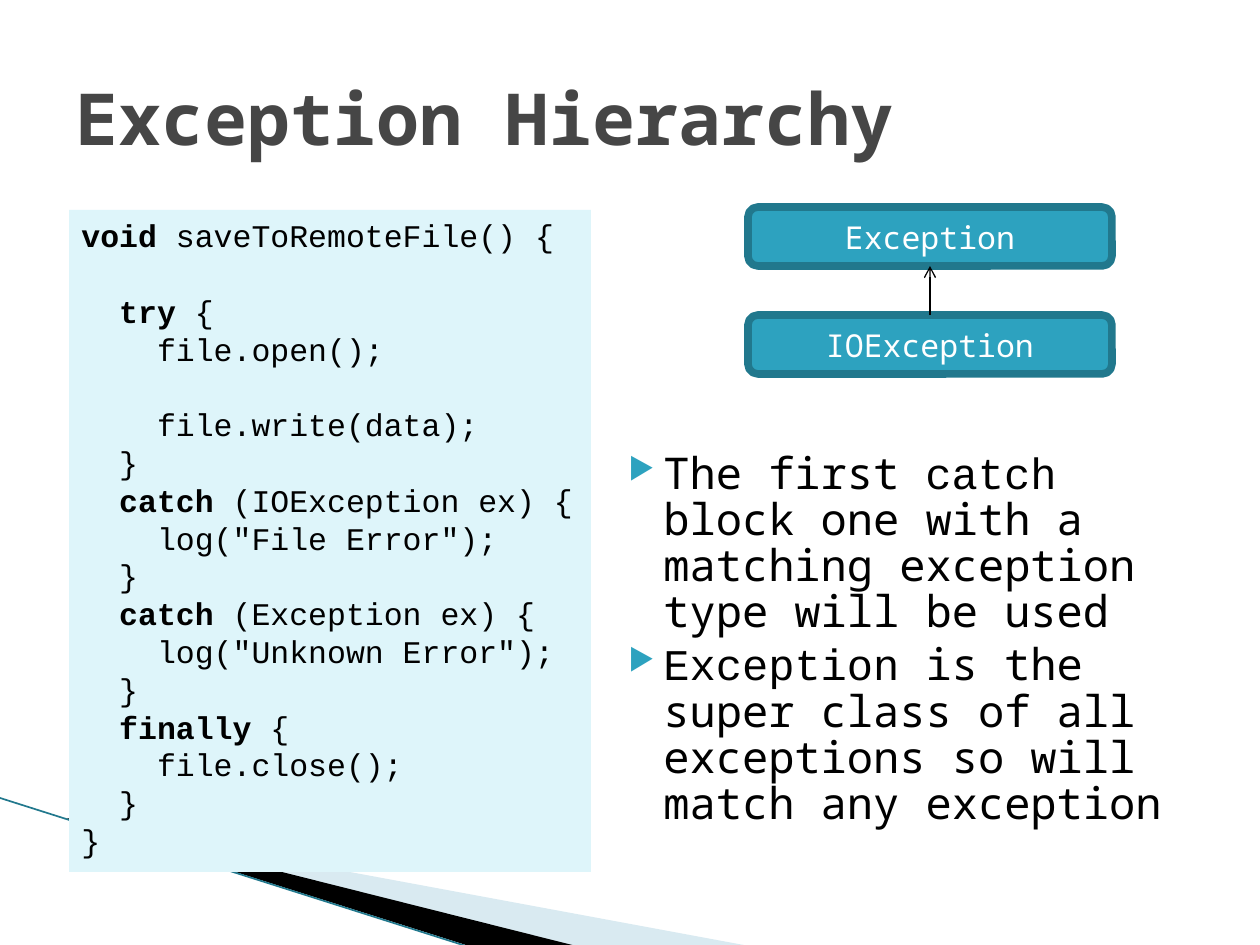
import pptx
import pptx.dml.color
import pptx.enum.shapes
import pptx.enum.text
import pptx.oxml.ns
import pptx.util
from lxml import etree

RGBColor = pptx.dml.color.RGBColor
SHAPE = pptx.enum.shapes.MSO_SHAPE
STRAIGHT = pptx.enum.shapes.MSO_CONNECTOR.STRAIGHT
ANCHOR = pptx.enum.text.MSO_ANCHOR
ALIGN = pptx.enum.text.PP_ALIGN
qn = pptx.oxml.ns.qn

BLACK = RGBColor(0x00, 0x00, 0x00)
WHITE = RGBColor(0xFF, 0xFF, 0xFF)
GREY = RGBColor(0x46, 0x46, 0x46)
TEAL = RGBColor(0x2D, 0xA2, 0xBF)
DARK_TEAL = RGBColor(0x21, 0x78, 0x8D)
PALE_BLUE = RGBColor(0xD9, 0xEA, 0xF1)
CODE_FILL = RGBColor(0xDE, 0xF5, 0xFA)

EMU_PER_INCH = 914400
PX_PER_INCH = 126
SANS = "Noto Sans Mono"
MONO = "Courier New"
KEYWORDS = ("void", "try", "catch", "finally")

CODE = """void saveToRemoteFile() {

  try {
    file.open();
    
    file.write(data);
  }
  catch (IOException ex) {
    log("File Error");
  }
  catch (Exception ex) {
    log("Unknown Error");
  }
  finally {
    file.close();
  }
}"""

BULLETS = (
    (("The first ", SANS), ("catch", MONO),
     (" block one with a matching exception type will be used", SANS)),
    (("Exception", MONO),
     (" is the super class of all exceptions so will match any exception", SANS)),
)


def px(length):
    """Turn pixels into EMU."""
    return pptx.util.Emu(round(length * EMU_PER_INCH / PX_PER_INCH))


def set_font(font, name, size, color, bold=False):
    """Set the main properties of a font."""
    font.name = name
    font.size = pptx.util.Pt(size)
    font.color.rgb = color
    font.bold = bold


def add_box(page, kind, left, top, width, height, fill):
    """Add a plain filled shape without line or shadow."""
    box = page.shapes.add_shape(kind, px(left), px(top), px(width), px(height))
    box.shadow.inherit = False
    box.fill.solid()
    box.fill.fore_color.rgb = fill
    box.line.fill.background()
    return box


def add_line(page, start, end, color, width):
    """Add a straight connector without shadow."""
    line = page.shapes.add_connector(STRAIGHT, *map(px, start + end))
    line.line.color.rgb = color
    line.line.width = pptx.util.Pt(width)
    etree.SubElement(line._element.spPr, qn("a:effectLst"))
    return line


def add_corner(page, left, top):
    """Draw the sweeping wedges of the lower left corner."""
    wedges = (
        (PALE_BLUE, ((0, 1), (680, 127), (505, 127), (0, 0))),
        (BLACK, ((-2, -1), (507, 127), (400, 127), (-1, 0))),
    )
    for color, points in wedges:
        corners = [(px(left + x), px(top + y)) for x, y in points]
        builder = page.shapes.build_freeform(*corners[0], scale=1.0)
        builder.add_line_segments(corners[1:], close=True)
        wedge = builder.convert_to_shape()
        wedge.shadow.inherit = False
        wedge.fill.solid()
        wedge.fill.fore_color.rgb = color
        wedge.line.fill.background()
    add_line(page, (left - 69, top - 21), (left + 397, top + 127), DARK_TEAL, 0.95)


def add_title(page, left, top, width, height):
    """Place and format the title placeholder."""
    title = page.shapes.title
    title.left, title.top, title.width, title.height = map(px, (left, top, width, height))
    title.text_frame.text = "Exception Hierarchy"
    title.text_frame.vertical_anchor = ANCHOR.MIDDLE
    para = title.text_frame.paragraphs[0]
    para.alignment = ALIGN.LEFT
    set_font(para.font, SANS, 41, GREY, True)


def add_code(page, left, top, width, height):
    """Show the code listing with its keywords in bold."""
    box = add_box(page, SHAPE.RECTANGLE, left, top, width, height, CODE_FILL)
    frame = box.text_frame
    frame.word_wrap = True
    frame.vertical_anchor = ANCHOR.TOP
    for number, line in enumerate(CODE.split("\n")):
        para = frame.add_paragraph() if number else frame.paragraphs[0]
        para.alignment = ALIGN.LEFT
        set_font(para.font, MONO, 18, BLACK)
        code = line.lstrip()
        word = code.split(" ")[0]
        if word in KEYWORDS:
            indent = line[:len(line) - len(code)]
            parts = ((indent, False), (word, True), (code[len(word):], False))
        else:
            parts = ((line, False),)
        for text, bold in parts:
            if text:
                span = para.add_run()
                span.text = text
                if bold:
                    span.font.bold = True


def add_hierarchy(page, left, top, width, height, node_height):
    """Draw the two classes and the arrow to the parent."""
    nodes = []
    for name, y in (("Exception", top), ("IOException", top + height - node_height)):
        node = add_box(page, SHAPE.ROUNDED_RECTANGLE, left, y, width, node_height, TEAL)
        node.line.color.rgb = DARK_TEAL
        node.line.width = pptx.util.Pt(4.33)
        node.text_frame.text = name
        node.text_frame.vertical_anchor = ANCHOR.MIDDLE
        para = node.text_frame.paragraphs[0]
        para.alignment = ALIGN.CENTER
        set_font(para.font, SANS, 18, WHITE)
        nodes.append(node)
    parent, child = nodes
    middle = left + width // 2
    arrow = add_line(page, (middle, top + height - node_height),
                     (middle, top + node_height), BLACK, 0.75)
    arrow.begin_connect(child, 0)
    arrow.end_connect(parent, 2)
    etree.SubElement(arrow.line._get_or_add_ln(), qn("a:tailEnd"), type="arrow")


def add_bullets(page, left, top, width, height):
    """Write the bulleted explanation."""
    frame = page.shapes.add_textbox(px(left), px(top), px(width), px(height)).text_frame
    frame.word_wrap = True
    for number, parts in enumerate(BULLETS):
        para = frame.add_paragraph() if number else frame.paragraphs[0]
        para.line_spacing = 0.88
        para.space_before = pptx.util.Pt(4 if number else 0)
        properties = para._p.get_or_add_pPr()
        properties.set("marL", str(px(50)))
        properties.set("indent", str(px(-35)))
        color = etree.SubElement(properties, qn("a:buClr"))
        etree.SubElement(color, qn("a:srgbClr"), val=str(TEAL))
        etree.SubElement(properties, qn("a:buSzPct"), val="68000")
        etree.SubElement(properties, qn("a:buChar"), char="▶")
        set_font(para.font, SANS, 25, BLACK)
        for text, name in parts:
            span = para.add_run()
            span.text = text
            if name != SANS:
                span.font.name = name


def main():
    """Build the slide and save it."""
    deck = pptx.Presentation()
    deck.slide_width, deck.slide_height = px(1260), px(945)
    page = deck.slides.add_slide(deck.slide_layouts[5])
    add_corner(page, 69, 819)
    add_title(page, 63, 38, 1134, 158)
    add_code(page, 69, 210, 522, 662)
    add_hierarchy(page, 748, 207, 364, 167, 59)
    add_bullets(page, 601, 446, 596, 430)
    deck.save("out.pptx")


if __name__ == "__main__":
    main()
